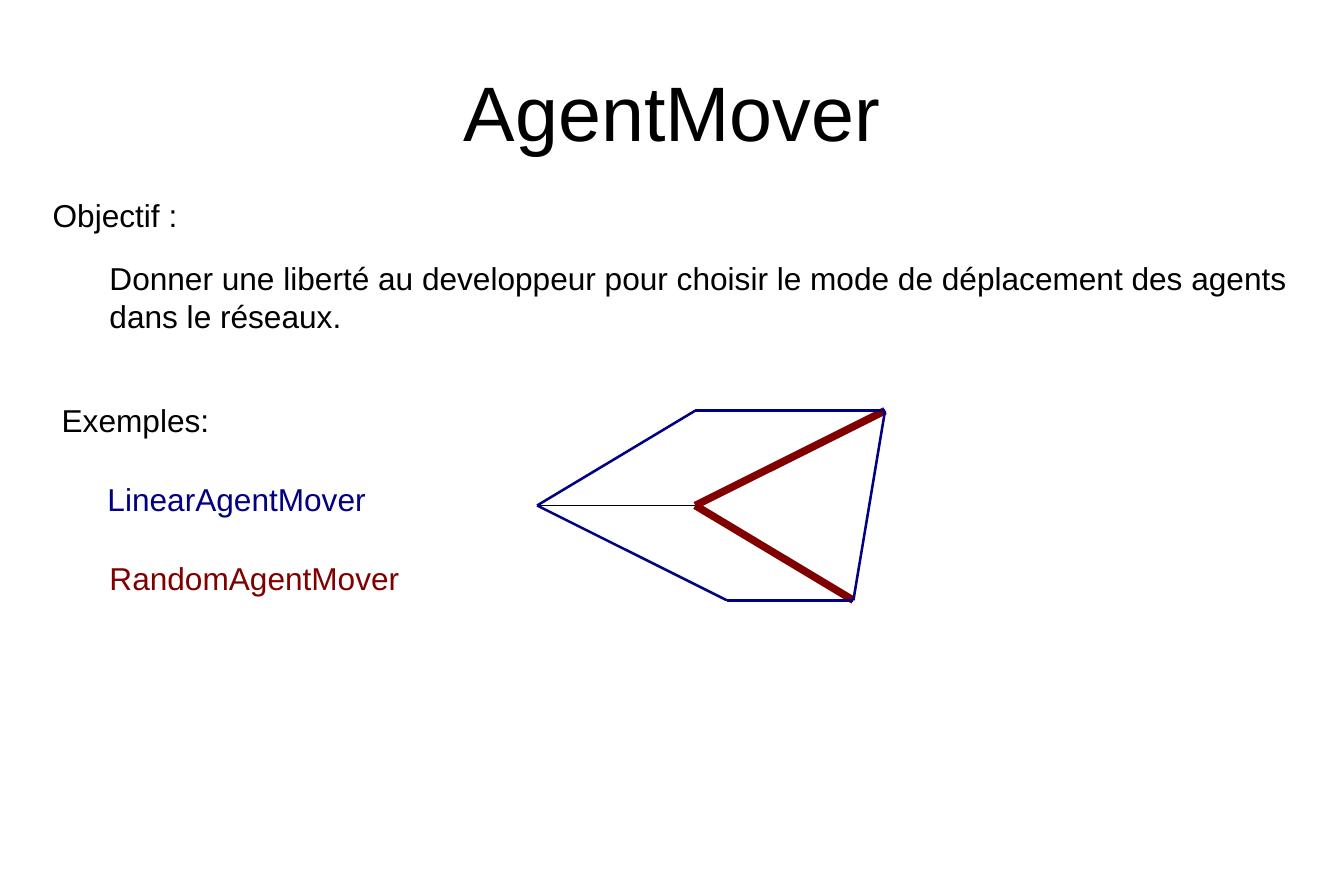
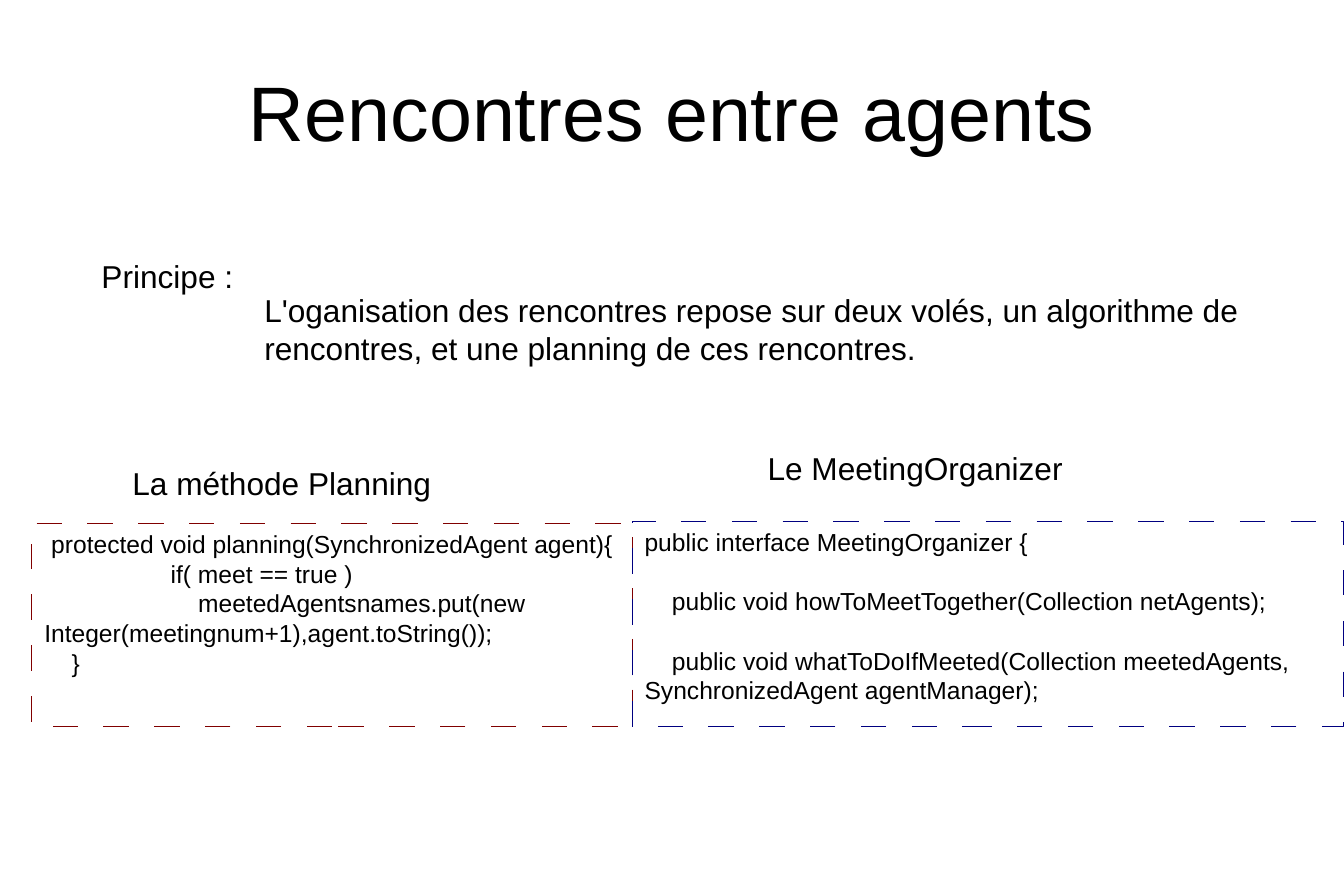
from collections import namedtuple
from dataclasses import dataclass

from lxml import etree
from pptx import Presentation
from pptx.dml.color import RGBColor
from pptx.enum.shapes import MSO_CONNECTOR, MSO_SHAPE
from pptx.enum.text import MSO_ANCHOR, PP_ALIGN
from pptx.oxml.ns import qn
from pptx.util import Cm, Pt

STRAIGHT = MSO_CONNECTOR.STRAIGHT
RECTANGLE = MSO_SHAPE.RECTANGLE
TOP, MIDDLE = MSO_ANCHOR.TOP, MSO_ANCHOR.MIDDLE
LEFT, CENTER = PP_ALIGN.LEFT, PP_ALIGN.CENTER

Box = namedtuple("Box", "x y w h")
CodeLine = namedtuple("CodeLine", "text indent before", defaults=(0, 0))


@dataclass(frozen=True)
class Theme:
    font: str = "Arial"
    black: RGBColor = RGBColor(0, 0, 0)
    navy: RGBColor = RGBColor(0, 0, 0x80)
    maroon: RGBColor = RGBColor(0x80, 0, 0)
    title_size: int = 44
    body_size: int = 18
    code_size: int = 14
    hairline: float = 0.5
    linear_width: float = 1.45
    random_width: float = 4.31
    dash_percent: int = 2835


THEME = Theme()
TITLE_BOX = Box(1.35, 0.73, 24.31, 3)


def write(frame, lines, size, color=THEME.black, align=LEFT):
    frame.word_wrap = True
    frame.text = "\n".join(lines)
    for paragraph in frame.paragraphs:
        paragraph.alignment = align
        for run in paragraph.runs:
            run.font.name = THEME.font
            run.font.size = Pt(size)
            run.font.color.rgb = color


def add_label(slide, box, *lines, color=THEME.black):
    label = slide.shapes.add_textbox(*map(Cm, box))
    write(label.text_frame, lines, THEME.body_size, color)


def add_title(slide, box, text):
    title = slide.shapes.add_textbox(*map(Cm, box))
    frame = title.text_frame
    frame.vertical_anchor = MIDDLE
    frame.margin_left = frame.margin_right = 0
    frame.margin_top = frame.margin_bottom = 0
    write(frame, [text], THEME.title_size, align=CENTER)


def add_route(slide, points, color, width):
    for start, end in zip(points, points[1:]):
        edge = slide.shapes.add_connector(STRAIGHT, *map(Cm, start + end))
        edge.line.color.rgb = color
        edge.line.width = Pt(width)
        etree.SubElement(edge.element.spPr, qn("a:effectLst"))


def add_network(slide, box):
    columns, rows = 22, 6

    def node(column, row):
        return (box.x + box.w * column / columns, box.y + box.h * row / rows)

    source, hub = node(0, 3), node(10, 3)
    top_left, top_right = node(10, 0), node(columns, 0)
    bottom_left, bottom_right = node(12, rows), node(20, rows)
    add_route(slide, [source, hub], THEME.black, THEME.hairline)
    add_route(slide, [bottom_right, hub, top_right],
              THEME.maroon, THEME.random_width)
    add_route(slide, [source, top_left, top_right, bottom_right,
                      bottom_left, source],
              THEME.navy, THEME.linear_width)


def add_code(slide, box, lines, color):
    panel = slide.shapes.add_shape(RECTANGLE, *map(Cm, box))
    panel.shadow.inherit = False
    panel.fill.background()
    panel.line.color.rgb = color
    panel.line.width = Pt(THEME.hairline)
    dashes = etree.SubElement(panel.element.spPr.find(qn("a:ln")),
                              qn("a:custDash"))
    length = str(THEME.dash_percent * 1000)
    etree.SubElement(dashes, qn("a:ds"), d=length, sp=length)
    frame = panel.text_frame
    frame.vertical_anchor = TOP
    write(frame, [line.text for line in lines], THEME.code_size)
    for paragraph, line in zip(frame.paragraphs, lines):
        paragraph.space_before = Pt(line.before)
        properties = paragraph._p.get_or_add_pPr()
        properties.set("marL", "0")
        properties.set("indent", str(Cm(line.indent)))


def build_mover(slide, box):
    add_title(slide, TITLE_BOX, "AgentMover")
    x, y = box.x, box.y
    add_label(slide, Box(x, y, 5, 0.97), "Objectif :")
    add_label(slide, Box(x + 1.14, y + 1.27, 24.8, 1.68),
              "Donner une liberté au developpeur pour choisir le mode de "
              "déplacement des agents", "dans le réseaux.")
    add_label(slide, Box(x + 0.18, y + 4.12, 5, 0.97), "Exemples:")
    add_label(slide, Box(x + 1.1, y + 5.71, 8, 0.97),
              "LinearAgentMover", color=THEME.navy)
    add_label(slide, Box(x + 1.14, y + 7.29, 8, 0.97),
              "RandomAgentMover", color=THEME.maroon)
    add_network(slide, Box(x + 9.98, y + 4.44, 6.99, 3.81))


def build_meetings(slide, box):
    add_title(slide, TITLE_BOX, "Rencontres entre agents")
    x, y = box.x, box.y
    add_label(slide, Box(x + 1.15, y, 5, 0.97), "Principe :")
    add_label(slide, Box(x + 4.42, y + 0.69, 21.5, 1.68),
              "L'oganisation des rencontres repose sur deux volés, "
              "un algorithme de",
              "rencontres, et une planning de ces rencontres.")
    add_label(slide, Box(x + 1.77, y + 4.17, 8, 0.97),
              "La méthode Planning")
    add_label(slide, Box(x + 14.53, y + 3.86, 8, 0.97),
              "Le MeetingOrganizer")
    add_code(slide, Box(x, y + 5.48, 12.06, 4.08), [
        CodeLine("protected void planning(SynchronizedAgent agent){", 0.14),
        CodeLine("if( meet == true )", 2.54),
        CodeLine("meetedAgentsnames.put(new "
                 "Integer(meetingnum+1),agent.toString());", 3.09),
        CodeLine("}", 0.55),
    ], THEME.maroon)
    add_code(slide, Box(x + 12.06, y + 5.44, 14.29, 4.12), [
        CodeLine("public interface MeetingOrganizer {"),
        CodeLine("public void howToMeetTogether(Collection netAgents);",
                 0.55, 16.8),
        CodeLine("public void whatToDoIfMeeted(Collection meetedAgents, "
                 "SynchronizedAgent agentManager);", 0.55, 16.8),
    ], THEME.navy)


def main():
    deck = Presentation()
    deck.slide_width, deck.slide_height = Cm(27), Cm(18)
    blank = deck.slide_layouts[6]
    build_mover(deck.slides.add_slide(blank), Box(0.81, 3.81, 25.4, 8.26))
    build_meetings(deck.slides.add_slide(blank), Box(0.64, 5.03, 26.36, 9.58))
    deck.save("out.pptx")


if __name__ == "__main__":
    main()
